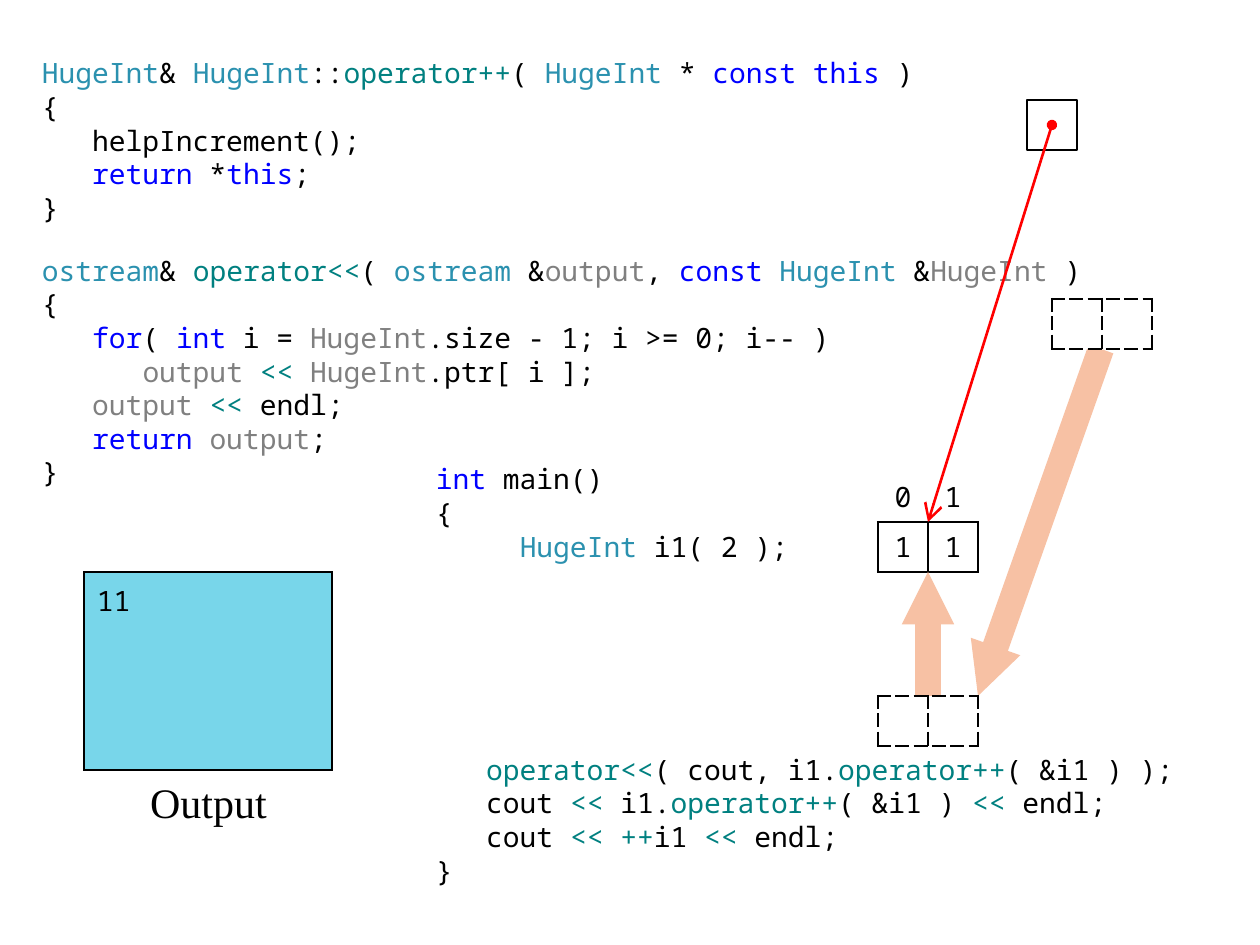
from dataclasses import dataclass
from functools import partial
from typing import NamedTuple, Optional

from lxml.etree import SubElement
from pptx import Presentation
from pptx.dml.color import RGBColor
from pptx.enum.shapes import MSO_CONNECTOR as Connector, MSO_SHAPE as Preset
from pptx.enum.text import MSO_ANCHOR as Anchor, MSO_AUTO_SIZE as AutoSize, PP_ALIGN as Align
from pptx.oxml.ns import qn
from pptx.util import Emu, Pt

PX_PER_INCH = 126
CELL = 50
NO_STYLE = "{2D5ABB26-0587-4C30-8999-92F81FD0307C}"


@dataclass(frozen=True)
class Theme:
    code_font: str = "Noto Sans Mono"
    label_font: str = "Times New Roman"
    code_size: int = 16
    label_size: int = 24
    code_spacing: float = 1.0
    line_width: float = 1.5
    black: str = "000000"
    white: str = "FFFFFF"
    type_name: str = "2B91AF"
    keyword: str = "0000FF"
    operator: str = "008080"
    parameter: str = "808080"
    console: str = "78D6EA"
    reference: str = "F7C1A4"
    pointer: str = "FF0000"


THEME = Theme()


class Span(NamedTuple):
    text: str
    color: str = THEME.black


class Box(NamedTuple):
    left: int
    top: int
    width: int
    height: int


class Code(NamedTuple):
    box: Box
    insets: tuple
    lines: list
    gaps: dict  # line index -> points of space before it


class Grid(NamedTuple):
    box: Box
    rows: list
    fill: str = THEME.white
    dash: Optional[str] = None
    width: float = THEME.line_width
    header: bool = False
    insets: tuple = (0, 5, 0, 5)
    align: Align = Align.CENTER
    anchor: Anchor = Anchor.MIDDLE


class Arrow(NamedTuple):
    start: tuple
    end: tuple
    color: str
    width: float
    ends: dict  # XML tag -> (type, size)


plain = Span
kind = partial(Span, color=THEME.type_name)
key = partial(Span, color=THEME.keyword)
op = partial(Span, color=THEME.operator)
param = partial(Span, color=THEME.parameter)

FUNCTIONS = Code(Box(34, 50, 1191, 446), (8, 6, 0, 6), [
    [kind("HugeInt"), plain("& "), kind("HugeInt"), plain("::"), op("operator++"), plain("( "),
     kind("HugeInt "), plain("* "), key("const this"), plain(" )")],
    [plain("{")],
    [plain("   helpIncrement();")],
    [plain("   "), key("return"), plain(" *"), key("this"), plain(";")],
    [plain("}")],
    [kind("ostream"), plain("& "), op("operator<<"), plain("( "), kind("ostream"), plain(" &"),
     param("output"), plain(", "), key("const "), kind("HugeInt"), plain(" &"),
     param("HugeInt "), plain(")")],
    [plain("{")],
    [plain("   "), key("for"), plain("( "), key("int"), plain(" i = "), param("HugeInt"),
     plain(".size - 1; i >= 0; i-- )")],
    [plain("      "), param("output "), op("<< "), param("HugeInt"), plain(".ptr[ i ];")],
    [plain("   "), param("output "), op("<<"), plain(" endl;")],
    [plain("   "), key("return "), param("output"), plain(";")],
    [plain("}")],
], {5: 16.8})

MAIN = Code(Box(431, 447, 769, 446), (5, 15, 13, 6), [
    [key("int"), plain(" main()")],
    [plain("{")],
    [plain("     "), kind("HugeInt "), plain("i1( 2 );")],
    [plain("   "), op("operator<<"), plain("( cout, i1."), op("operator++"), plain("( &i1 ) );")],
    [plain("   cout "), op("<< "), plain("i1."), op("operator++"), plain("( &i1 ) "), op("<<"),
     plain(" endl;")],
    [plain("   cout "), op("<< ++"), plain("i1 "), op("<<"), plain(" endl;")],
    [plain("}")],
], {3: 108.3})

POINTER_BOX = Box(1027, 100, CELL, CELL)
DIGITS = Grid(Box(878, 472, 2 * CELL, 2 * CELL), [["0", "1"], ["1", "1"]], header=True)
REFERENCES = [Grid(Box(left, top, 2 * CELL, CELL), [["", ""]], dash="dash")
              for left, top in ((1052, 299), (878, 696))]
CONSOLE = Grid(Box(84, 572, 248, 198), [["11"]], THEME.console, width=0.75,
               insets=(13, 10, 13, 10), align=Align.LEFT, anchor=Anchor.TOP)
LABEL_BOX = Box(134, 770, 149, 74)

THICK_END = {"a:tailEnd": ("triangle", "sm")}
REFERENCE_ARROWS = [Arrow(start, end, THEME.reference, 15, THICK_END)
                    for start, end in (((928, 696), (928, 572)), ((1101, 349), (978, 696)))]
POINTER_ARROW = Arrow((1052, 125), (928, 522), THEME.pointer, THEME.line_width,
                      {"a:headEnd": ("oval", "med"), "a:tailEnd": ("arrow", "lg")})


def px(value: int) -> Emu:
    return Emu(round(value * 914400 / PX_PER_INCH))


def rgb(color: str) -> RGBColor:
    return RGBColor.from_string(color)


def set_font(font, name: str, size: int, color: str = THEME.black) -> None:
    font.name, font.size = name, Pt(size)
    font.color.rgb = rgb(color)


def set_insets(target, insets: tuple) -> None:
    (target.margin_left, target.margin_top,
     target.margin_right, target.margin_bottom) = map(px, insets)


def fill_code(placeholder, code: Code) -> None:
    (placeholder.left, placeholder.top,
     placeholder.width, placeholder.height) = map(px, code.box)
    frame = placeholder.text_frame
    frame.word_wrap, frame.auto_size = True, AutoSize.NONE
    frame.vertical_anchor = Anchor.TOP
    set_insets(frame, code.insets)
    for index, line in enumerate(code.lines):
        paragraph = frame.paragraphs[0] if index == 0 else frame.add_paragraph()
        properties = paragraph._p.get_or_add_pPr()
        properties.set("marL", "0")
        properties.set("indent", "0")
        SubElement(properties, qn("a:buNone"))
        paragraph.line_spacing = THEME.code_spacing
        paragraph.space_before = Pt(code.gaps.get(index, 0))
        paragraph.space_after = Pt(0)
        for span in line:
            run = paragraph.add_run()
            run.text = span.text
            set_font(run.font, THEME.code_font, THEME.code_size, span.color)


def set_borders(cell, sides: str, grid: Grid) -> None:
    """Add borders ahead of the fill, as the schema orders them."""
    properties = cell._tc.get_or_add_tcPr()
    for position, side in enumerate(sides):
        line = SubElement(properties, qn(f"a:ln{side}"), w=str(Pt(grid.width)))
        solid = SubElement(line, qn("a:solidFill"))
        SubElement(solid, qn("a:srgbClr"), val=THEME.black)
        SubElement(line, qn("a:prstDash"), val=grid.dash or "solid")
        properties.insert(position, line)


def draw_grid(slide, grid: Grid) -> None:
    row_count, column_count = len(grid.rows), len(grid.rows[0])
    table = slide.shapes.add_table(row_count, column_count, *map(px, grid.box)).table
    table.first_row = table.horz_banding = False
    table._tbl.tblPr.find(qn("a:tableStyleId")).text = NO_STYLE
    for row, texts in enumerate(grid.rows):
        for column, text in enumerate(texts):
            cell = table.cell(row, column)
            cell.fill.solid()
            cell.fill.fore_color.rgb = rgb(grid.fill)
            set_insets(cell, grid.insets)
            cell.vertical_anchor = grid.anchor
            cell.text = text
            paragraph = cell.text_frame.paragraphs[0]
            paragraph.alignment = grid.align
            set_font(paragraph.font, THEME.code_font, THEME.code_size)
            for run in paragraph.runs:
                set_font(run.font, THEME.code_font, THEME.code_size)
            set_borders(cell, "B" if grid.header and row == 0 else "LRTB", grid)


def draw_arrow(slide, arrow: Arrow) -> None:
    connector = slide.shapes.add_connector(
        Connector.STRAIGHT, *map(px, arrow.start + arrow.end))
    connector.line.color.rgb = rgb(arrow.color)
    connector.line.width = Pt(arrow.width)
    line = connector.line._get_or_add_ln()
    for tag, (shape, size) in arrow.ends.items():
        SubElement(line, qn(tag), type=shape, w=size, len=size)
    SubElement(connector._element.spPr, qn("a:effectLst"))


def draw_pointer_box(slide) -> None:
    square = slide.shapes.add_shape(Preset.RECTANGLE, *map(px, POINTER_BOX))
    square.shadow.inherit = False
    square.fill.solid()
    square.fill.fore_color.rgb = rgb(THEME.white)
    square.line.color.rgb = rgb(THEME.black)
    square.line.width = Pt(THEME.line_width)


def draw_label(slide) -> None:
    frame = slide.shapes.add_textbox(*map(px, LABEL_BOX)).text_frame
    frame.word_wrap = True
    frame.text = "Output"
    frame.paragraphs[0].alignment = Align.CENTER
    set_font(frame.paragraphs[0].runs[0].font, THEME.label_font, THEME.label_size)


def main() -> None:
    presentation = Presentation()
    presentation.slide_width, presentation.slide_height = px(1260), px(945)
    slide = presentation.slides.add_slide(presentation.slide_layouts[3])
    title, functions, main_body = slide.placeholders
    title._element.getparent().remove(title._element)
    fill_code(functions, FUNCTIONS)
    fill_code(main_body, MAIN)
    draw_pointer_box(slide)
    draw_grid(slide, DIGITS)
    for arrow in REFERENCE_ARROWS:
        draw_arrow(slide, arrow)
    for grid in (*REFERENCES, CONSOLE):
        draw_grid(slide, grid)
    draw_label(slide)
    draw_arrow(slide, POINTER_ARROW)
    presentation.save("out.pptx")


if __name__ == "__main__":
    main()
